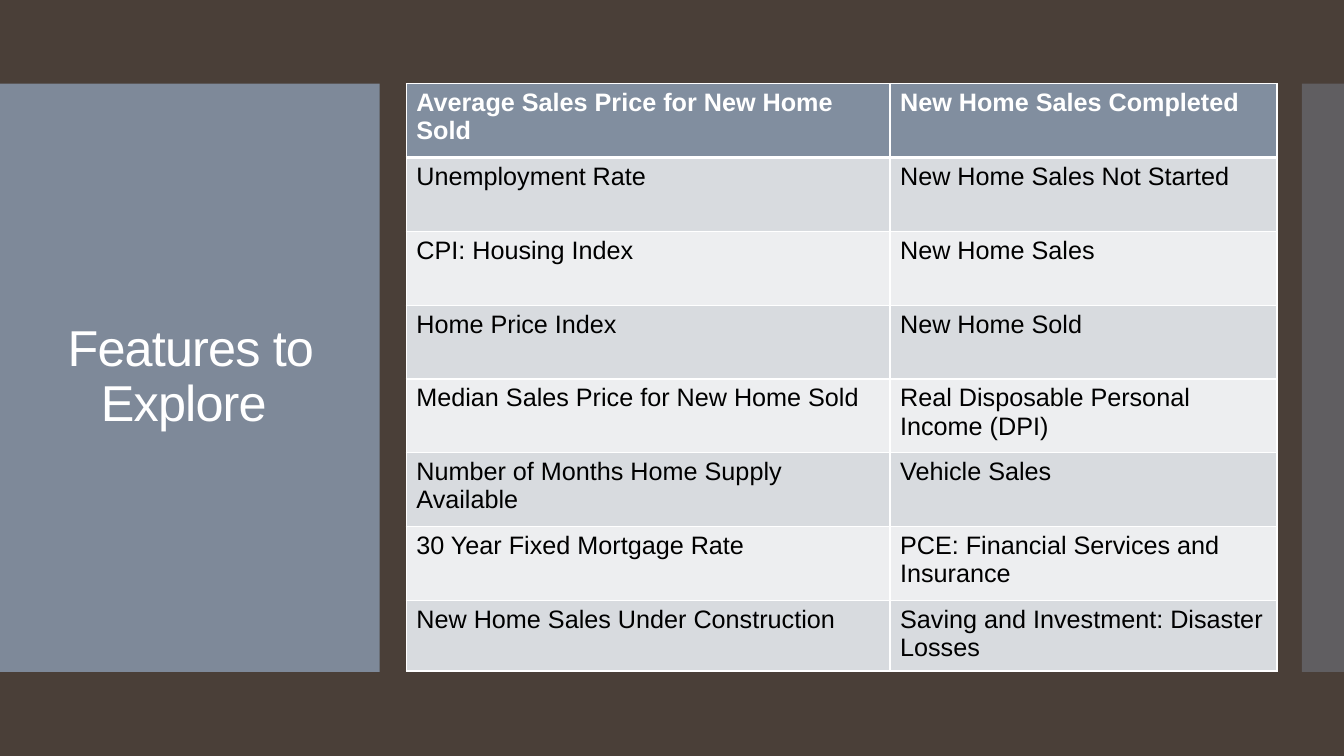
from lxml import etree
from pptx import Presentation
from pptx.dml.color import RGBColor
from pptx.enum.shapes import MSO_SHAPE
from pptx.enum.text import MSO_ANCHOR, PP_ALIGN
from pptx.oxml.ns import qn
from pptx.util import Cm, Pt

RECTANGLE = MSO_SHAPE.RECTANGLE
MIDDLE = MSO_ANCHOR.MIDDLE
CENTER = PP_ALIGN.CENTER

BACKGROUND, SLATE, WHITE, BLACK = "4A3F38", "818E9F", "FFFFFF", "000000"
BANDS = ("EDEEF0", "D8DBDF")
BAND_TOP, BAND_HEIGHT = 2.11, 14.82
COLUMN_WIDTHS = (12.19, 9.75)
ROW_HEIGHT, LAST_ROW_HEIGHT = 1.86, 1.68

FEATURES = [
    ("Average Sales Price for New Home Sold", "New Home Sales Completed"),
    ("Unemployment Rate", "New Home Sales Not Started"),
    ("CPI: Housing Index", "New Home Sales"),
    ("Home Price Index", "New Home Sold"),
    ("Median Sales Price for New Home Sold", "Real Disposable Personal Income (DPI)"),
    ("Number of Months Home Supply Available", "Vehicle Sales"),
    ("30 Year Fixed Mortgage Rate", "PCE: Financial Services and Insurance"),
    ("New Home Sales Under Construction", "Saving and Investment: Disaster Losses"),
]


def color(hex_value):
    """Turn a hex string into a colour."""
    return RGBColor.from_string(hex_value)


class SlideBuilder:
    """Hold the style and the current slide."""

    font = "Arial"

    def __init__(self, slide, background):
        """Take the slide and paint its background."""
        self.slide = slide
        slide.background.fill.solid()
        slide.background.fill.fore_color.rgb = color(background)

    def style(self, paragraph, size, hex_value, bold=False):
        """Format every run of a paragraph."""
        for run in paragraph.runs:
            run.font.name = self.font
            run.font.size = Pt(size)
            run.font.bold = bold
            run.font.color.rgb = color(hex_value)

    def panel(self, left, top, width, height, fill, opacity):
        """Add a translucent rectangle without outline."""
        panel = self.slide.shapes.add_shape(
            RECTANGLE, Cm(left), Cm(top), Cm(width), Cm(height))
        panel.shadow.inherit = False
        panel.line.fill.background()
        panel.fill.solid()
        panel.fill.fore_color.rgb = color(fill)
        tint = panel.fill._xPr.find(qn("a:solidFill"))[0]
        etree.SubElement(tint, qn("a:alpha"), val=str(opacity * 1000))

    def title(self, text, left, top, width, height):
        """Add the centred, slightly condensed title."""
        frame = self.slide.shapes.add_textbox(
            Cm(left), Cm(top), Cm(width), Cm(height)).text_frame
        frame.word_wrap = True
        frame.vertical_anchor = MIDDLE
        frame.text = text
        heading = frame.paragraphs[0]
        heading.alignment = CENTER
        heading.line_spacing = 0.9
        self.style(heading, 36, WHITE)
        heading.runs[0].font._element.set("spc", "-60")

    def borders(self, cell, top, bottom):
        """Draw white cell borders, 1 pt at the sides."""
        for side, points in (("L", 1), ("R", 1), ("T", top), ("B", bottom)):
            edge = etree.SubElement(
                cell._tc.get_or_add_tcPr(), qn(f"a:ln{side}"), w=str(Pt(points)))
            fill = etree.SubElement(edge, qn("a:solidFill"))
            etree.SubElement(fill, qn("a:srgbClr"), val=WHITE)

    def table(self, rows, left, top, widths, heights):
        """Add a banded table with a bold header row."""
        table = self.slide.shapes.add_table(
            len(rows), len(widths), Cm(left), Cm(top),
            Cm(sum(widths)), Cm(sum(heights))).table
        for column, width in zip(table.columns, widths):
            column.width = Cm(width)
        for index, (row, height, texts) in enumerate(zip(table.rows, heights, rows)):
            row.height = Cm(height)
            header = index == 0
            for cell, text in zip(row.cells, texts):
                cell.text_frame.text = text
                self.style(cell.text_frame.paragraphs[0], 18,
                           WHITE if header else BLACK, header)
                self.borders(cell, 3 if index == 1 else 1, 3 if header else 1)
                cell.fill.solid()
                cell.fill.fore_color.rgb = color(SLATE if header else BANDS[index % 2])


deck = Presentation()
deck.slide_width, deck.slide_height = Cm(33.87), Cm(19.05)
builder = SlideBuilder(deck.slides.add_slide(deck.slide_layouts[6]), BACKGROUND)
builder.panel(0, BAND_TOP, 9.57, BAND_HEIGHT, SLATE, 95)
builder.panel(32.81, BAND_TOP, 1.06, BAND_HEIGHT, SLATE, 40)
builder.title("Features to Explore ", 0.71, 3.13, 8.18, 12.78)
row_heights = [ROW_HEIGHT] * (len(FEATURES) - 1) + [LAST_ROW_HEIGHT]
builder.table(FEATURES, 10.24, BAND_TOP, COLUMN_WIDTHS, row_heights)
deck.save("out.pptx")
